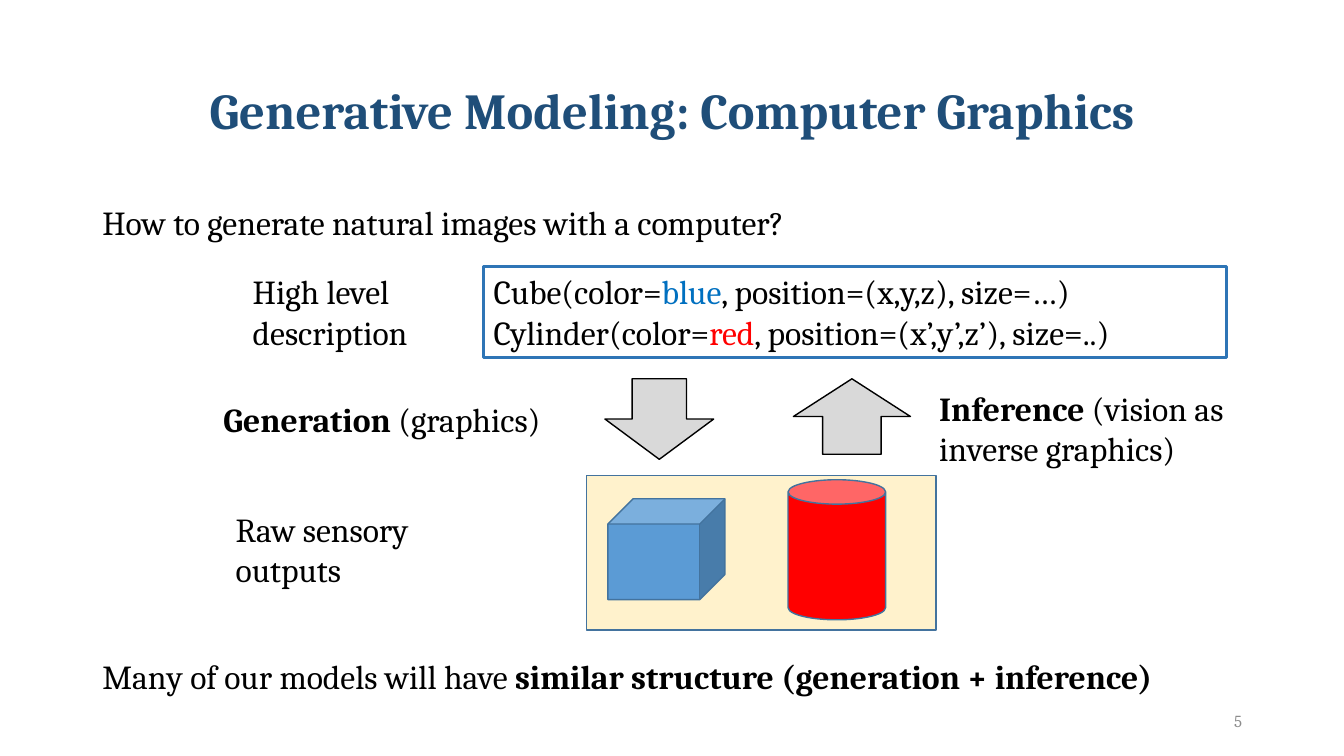
from dataclasses import dataclass

from pptx import Presentation
from pptx.dml.color import RGBColor
from pptx.enum.shapes import MSO_SHAPE
from pptx.enum.text import MSO_ANCHOR, PP_ALIGN
from pptx.shapes.autoshape import Shape
from pptx.slide import Slide
from pptx.util import Cm, Pt

RECTANGLE = MSO_SHAPE.RECTANGLE
ARROW = MSO_SHAPE.RIGHT_ARROW
CUBE = MSO_SHAPE.CUBE
CYLINDER = MSO_SHAPE.CAN
LEFT, CENTER, RIGHT = PP_ALIGN.LEFT, PP_ALIGN.CENTER, PP_ALIGN.RIGHT
TOP, MIDDLE = MSO_ANCHOR.TOP, MSO_ANCHOR.MIDDLE

FONT = "Cambria"
BLACK = "000000"
ARROW_GRAY = "D9D9D9"
SCENE_LINE = "43739E"

Box = tuple[float, float, float, float]


@dataclass(frozen=True)
class Run:
    text: str
    bold: bool = False
    color: str = BLACK


@dataclass(frozen=True)
class Label:
    box: Box
    runs: tuple[Run, ...]
    spacing: float = 1.0


@dataclass(frozen=True)
class Figure:
    kind: MSO_SHAPE
    box: Box
    fill: str | None
    line: str
    line_width: float = 1
    rotation: float = 0


def rgb(value: str) -> RGBColor:
    return RGBColor.from_string(value)


def write(shape: Shape, paragraphs: list[tuple[Run, ...]], *, size: float = 24,
          align: PP_ALIGN = LEFT, anchor: MSO_ANCHOR = TOP, spacing: float = 1.0) -> None:
    frame = shape.text_frame
    frame.word_wrap = True
    frame.vertical_anchor = anchor
    for index, runs in enumerate(paragraphs):
        paragraph = frame.add_paragraph() if index else frame.paragraphs[0]
        paragraph.alignment = align
        paragraph.line_spacing = spacing
        for part in runs:
            run = paragraph.add_run()
            run.text = part.text
            run.font.name = FONT
            run.font.size = Pt(size)
            run.font.bold = part.bold
            run.font.color.rgb = rgb(part.color)


def add_text(slide: Slide, box: Box) -> Shape:
    return slide.shapes.add_textbox(*map(Cm, box))


def add_figure(slide: Slide, figure: Figure) -> Shape:
    shape = slide.shapes.add_shape(figure.kind, *map(Cm, figure.box))
    shape.shadow.inherit = False
    shape.rotation = figure.rotation
    if figure.fill is None:
        shape.fill.background()
    else:
        shape.fill.solid()
        shape.fill.fore_color.rgb = rgb(figure.fill)
    shape.line.color.rgb = rgb(figure.line)
    shape.line.width = Pt(figure.line_width)
    return shape


TITLE = Run("Generative Modeling: Computer Graphics", True, "1F4E79")

LABELS = [
    Label((2.33, 5.08, 29.21, 1.2),
          (Run("How to generate natural images with a computer?"),), 0.9),
    Label((6.12, 6.71, 5.31, 2.31), (Run("High level description"),)),
    Label((5.38, 9.93, 9.14, 1.27), (Run("Generation", True), Run(" (graphics)"))),
    Label((23.42, 9.65, 9.5, 2.31),
          (Run("Inference", True), Run(" (vision as inverse graphics)"))),
    Label((5.69, 12.7, 5.87, 2.31), (Run("Raw sensory outputs"),)),
    Label((2.33, 16.51, 29.21, 1.2),
          (Run("Many of our models will have "),
           Run("similar structure (generation + inference)", True)), 0.9),
]

FIGURES = [
    Figure(ARROW, (15.6, 9.19, 2.03, 2.74), ARROW_GRAY, BLACK, rotation=90),
    Figure(ARROW, (20.52, 9.02, 1.9, 2.95), ARROW_GRAY, BLACK, rotation=270),
    Figure(RECTANGLE, (14.78, 11.99, 8.81, 3.89), "FFF2CC", SCENE_LINE),
    Figure(CUBE, (15.32, 12.57, 2.95, 2.54), "5B9BD5", SCENE_LINE),
    Figure(CYLINDER, (19.86, 12.09, 2.46, 3.53), "FF0000", SCENE_LINE),
]

DESCRIPTION = Figure(RECTANGLE, (12.19, 6.71, 18.72, 2.31), None, "2E75B6", 2.25)
DESCRIPTION_LINES = [
    (Run("Cube(color="), Run("blue", color="0070C0"),
     Run(", position=(x,y,z), size=…)")),
    (Run("Cylinder(color="), Run("red", color="FF0000"),
     Run(", position=(x’,y’,z’), size=..)")),
]


def main() -> None:
    deck = Presentation()
    deck.slide_width, deck.slide_height = Cm(33.87), Cm(19.05)
    slide = deck.slides.add_slide(deck.slide_layouts[6])

    title = add_text(slide, (2.33, 1.01, 29.21, 3.68))
    write(title, [(TITLE,)], size=36, align=CENTER, anchor=MIDDLE, spacing=0.9)
    for figure in FIGURES:
        add_figure(slide, figure)
    write(add_figure(slide, DESCRIPTION), DESCRIPTION_LINES)
    for label in LABELS:
        write(add_text(slide, label.box), [label.runs], spacing=label.spacing)
    page_number = add_text(slide, (23.93, 17.66, 7.62, 1.01))
    write(page_number, [(Run("5", color="8C8C8C"),)], size=12, align=RIGHT, anchor=MIDDLE)

    deck.save("out.pptx")


if __name__ == "__main__":
    main()
